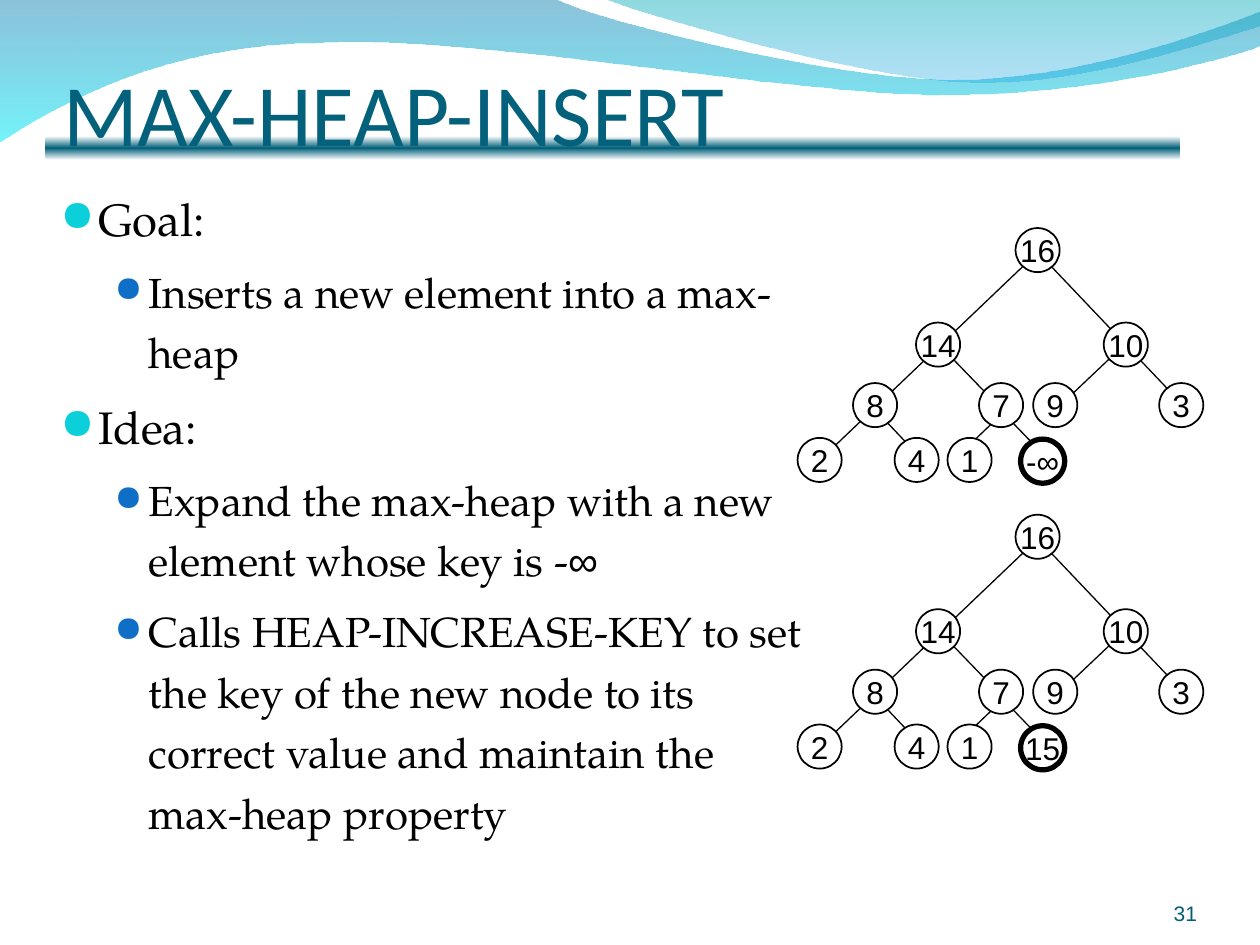
"""Build the MAX-HEAP-INSERT slide with its bullet list and two heap trees."""
import dataclasses

import pptx
import pptx.dml.color
import pptx.enum.shapes
import pptx.enum.text
import pptx.oxml
import pptx.oxml.ns
import pptx.util

ALIGN = pptx.enum.text.PP_ALIGN
ANCHOR = pptx.enum.text.MSO_ANCHOR
SHAPE = pptx.enum.shapes.MSO_SHAPE


@dataclasses.dataclass
class Theme:
    ink: str = "000000"
    paper: str = "FFFFFF"
    teal: str = "04617B"
    page: str = "045C75"
    wave: tuple = ((0, "0079AF", 45), (100, "00EBF8", 55))
    crest: tuple = ((0, "00ADB6", 45), (100, "009BE5", 30))
    bar: tuple = ((0, "FFFFFF", 100), (50, "04617B", 100), (100, "FFFFFF", 100))
    head: str = "Calibri"
    body: str = "TeX Gyre Pagella"
    sans: str = "Arial"
    mark: str = "OpenSymbol"
    big: int = 50
    small: int = 12
    label: int = 18
    levels: tuple = ((26, 0.3, -0.3, 6.5, "0BD0D9", 95),
                     (24, 0.7, -0.27, 6, "0F6FC6", 85))


class Deck:
    cols, rows = 100, 75

    def __init__(self, theme):
        self.theme = theme
        self.show = pptx.Presentation()
        self.show.slide_width = pptx.util.Inches(10)
        self.show.slide_height = pptx.util.Inches(7.5)
        self.slide = self.show.slides.add_slide(self.show.slide_layouts[5])
        self.shapes = self.slide.shapes

    def x(self, col):
        return round(self.show.slide_width * col / self.cols)

    def y(self, row):
        return round(self.show.slide_height * row / self.rows)

    def box(self, left, top, width, height):
        return self.x(left), self.y(top), self.x(width), self.y(height)

    def run(self, para, text, size, face, color):
        run = para.add_run()
        run.text = text
        run.font.size = pptx.util.Pt(size)
        run.font.name = face
        run.font.color.rgb = pptx.dml.color.RGBColor.from_string(color)

    def shade(self, shape, stops):
        parts = "".join(
            f'<a:gs pos="{pos * 1000}"><a:srgbClr val="{color}">'
            f'<a:alpha val="{alpha * 1000}"/></a:srgbClr></a:gs>'
            for pos, color, alpha in stops)
        fill = pptx.oxml.parse_xml(
            f'<a:gradFill {pptx.oxml.ns.nsdecls("a")} rotWithShape="1">'
            f'<a:gsLst>{parts}</a:gsLst><a:lin ang="5400000" scaled="0"/></a:gradFill>')
        shape.line.fill.background()
        shape.shadow.inherit = False
        shape.element.spPr.insert(2, fill)

    def wave(self, steps, stops):
        spots = [[(self.x(col), self.y(row)) for col, row in zip(step[::2], step[1::2])]
                 for step in steps]
        pen = self.shapes.build_freeform(*spots[0][0])
        pen.add_line_segments([spot for step in spots[1:] for spot in step], close=True)
        shape = pen.convert_to_shape()
        lines = iter(shape.element.findall(".//" + pptx.oxml.ns.qn("a:lnTo")))
        for step in spots[1:]:
            group = [next(lines) for spot in step]
            if len(group) == 3:
                bend = pptx.oxml.parse_xml(
                    f'<a:cubicBezTo {pptx.oxml.ns.nsdecls("a")}/>')
                group[0].addprevious(bend)
                for line in group:
                    bend.append(line[0])
                    line.getparent().remove(line)
        self.shade(shape, stops)

    def bar(self, *place):
        bar = self.shapes.add_shape(SHAPE.ROUNDED_RECTANGLE, *self.box(*place))
        self.shade(bar, self.theme.bar)

    def title(self, text, *place):
        title = self.shapes.title
        title.left, title.top, title.width, title.height = self.box(*place)
        self.shapes.element.append(title.element)
        frame = title.text_frame
        frame.auto_size = pptx.enum.text.MSO_AUTO_SIZE.NONE
        frame.vertical_anchor = ANCHOR.BOTTOM
        frame.margin_left = frame.margin_right = frame.margin_bottom = 0
        frame.margin_top = pptx.util.Inches(0.05)
        para = frame.paragraphs[0]
        para.alignment = ALIGN.LEFT
        self.run(para, text, self.theme.big, self.theme.head, self.theme.teal)

    def bullets(self, items, *place):
        frame = self.shapes.add_textbox(*self.box(*place)).text_frame
        frame.word_wrap = True
        for i, (level, runs) in enumerate(items):
            para = frame.add_paragraph() if i else frame.paragraphs[0]
            size, left, hang, gap, color, scale = self.theme.levels[level]
            para.level = level
            props = para._p.get_or_add_pPr()
            props.set("marL", str(pptx.util.Inches(left)))
            props.set("indent", str(pptx.util.Inches(hang)))
            for tag in (f'buClr {{}}><a:srgbClr val="{color}"/></a:buClr>',
                        f'buSzPct {{}} val="{scale * 1000}"/>',
                        f'buFont {{}} typeface="{self.theme.mark}"/>',
                        'buChar {} char="●"/>'):
                props.append(pptx.oxml.parse_xml(
                    "<a:" + tag.format(pptx.oxml.ns.nsdecls("a"))))
            para.line_spacing = 1.2
            para.space_before = pptx.util.Pt(gap if i else 0)
            for text, face in runs:
                self.run(para, text, size, face, self.theme.ink)

    def number(self, text, *place):
        frame = self.shapes.add_textbox(*self.box(*place)).text_frame
        frame.margin_left = frame.margin_right = 0
        frame.margin_top = frame.margin_bottom = 0
        frame.word_wrap = True
        frame.vertical_anchor = ANCHOR.BOTTOM
        para = frame.paragraphs[0]
        para.alignment = ALIGN.RIGHT
        self.run(para, text, self.theme.small, self.theme.sans, self.theme.page)

    def edge(self, col, row, end, low):
        edge = self.shapes.add_connector(
            pptx.enum.shapes.MSO_CONNECTOR.STRAIGHT,
            self.x(col), self.y(row), self.x(end), self.y(low))
        edge.line.width = pptx.util.Pt(0.75)
        edge.line.color.rgb = pptx.dml.color.RGBColor.from_string(self.theme.ink)
        edge.element.spPr.append(pptx.oxml.parse_xml(
            f'<a:effectLst {pptx.oxml.ns.nsdecls("a")}/>'))

    def node(self, text, col, row, weight=1):
        node = self.shapes.add_shape(SHAPE.OVAL, *self.box(col, row, 3.5, 3.5))
        node.shadow.inherit = False
        node.fill.solid()
        node.fill.fore_color.rgb = pptx.dml.color.RGBColor.from_string(self.theme.paper)
        node.line.color.rgb = pptx.dml.color.RGBColor.from_string(self.theme.ink)
        node.line.width = pptx.util.Pt(weight)
        frame = node.text_frame
        frame.word_wrap = False
        frame.vertical_anchor = ANCHOR.MIDDLE
        para = frame.paragraphs[0]
        para.alignment = ALIGN.CENTER
        self.run(para, text, self.theme.label, self.theme.sans, self.theme.ink)

    def tree(self, top, last):
        self.edge(*(83.7, top + 18.9, 78.3, top + 13.3))
        self.node(last, 81, top + 16.75, 3)
        for col, row, end, low in EDGES:
            self.edge(col, top + row, end, top + low)
        for text, col, row in NODES:
            self.node(text, col, top + row)


EDGES = ((75.7, 18.4, 80.2, 14.1), (83.8, 14.4, 89.4, 9.1),
         (73.6, 18.8, 68.3, 13.2), (79.6, 14.5, 74.2, 8.9),
         (94.6, 14.8, 81.3, 0.8), (65.2, 18.3, 82.7, 1.6))
NODES = (("8", 67.7, 12.3), ("2", 63.3, 16.65), ("4", 71, 16.65),
         ("14", 72.7, 7.5), ("7", 77.7, 12.3), ("1", 75.2, 16.65),
         ("16", 80.6, 0), ("10", 87.6, 7.5), ("9", 82, 12.3), ("3", 92, 12.3))
WAVE = ((0, -0.1), (44, -0.1), (47.6, 1.7, 66.4, 6.3, 75.8, 6.3),
        (85.3, 6.3, 95.8, 2.6, 100, 0.9), (100.1, 3.6),
        (98.3, 4.4, 87, 7.6, 74.6, 7.5), (62.2, 7.5, 38.2, 2.8, 25.7, 3.4),
        (12.9, 3.5, 4.6, 8.3, -0.1, 11.3))
CREST = ((47.9, -0.1), (50.9, 1.1, 68.2, 6.2, 76.9, 6.5),
         (85.6, 6.9, 96.1, 3.2, 100, 2.1), (100, 0))


def main():
    theme = Theme()
    deck = Deck(theme)
    deck.wave(WAVE, theme.wave)
    deck.wave(CREST, theme.crest)
    deck.bar(3.6, 10.8, 90.1, 1.9)
    deck.title("MAX-HEAP-INSERT", 5, 0.5, 90, 12.5)
    deck.bullets((
        (0, [("Goal:", theme.body)]),
        (1, [("Inserts a new element into a max-heap", theme.body)]),
        (0, [("Idea:", theme.body)]),
        (1, [("Expand the max-heap with a new element whose key is -", theme.body),
             ("∞", theme.sans)]),
        (1, [("Calls HEAP-INCREASE-KEY to set the key of the new node to its "
              "correct value and maintain the max-heap property", theme.body)]),
    ), 3.8, 13.8, 61.2, 58.4)
    deck.number("31", 86.7, 69.5, 8.3, 4)
    for top, last in ((18.1, "-∞"), (40.85, "15")):
        deck.tree(top, last)
    deck.show.save("out.pptx")


if __name__ == "__main__":
    main()
